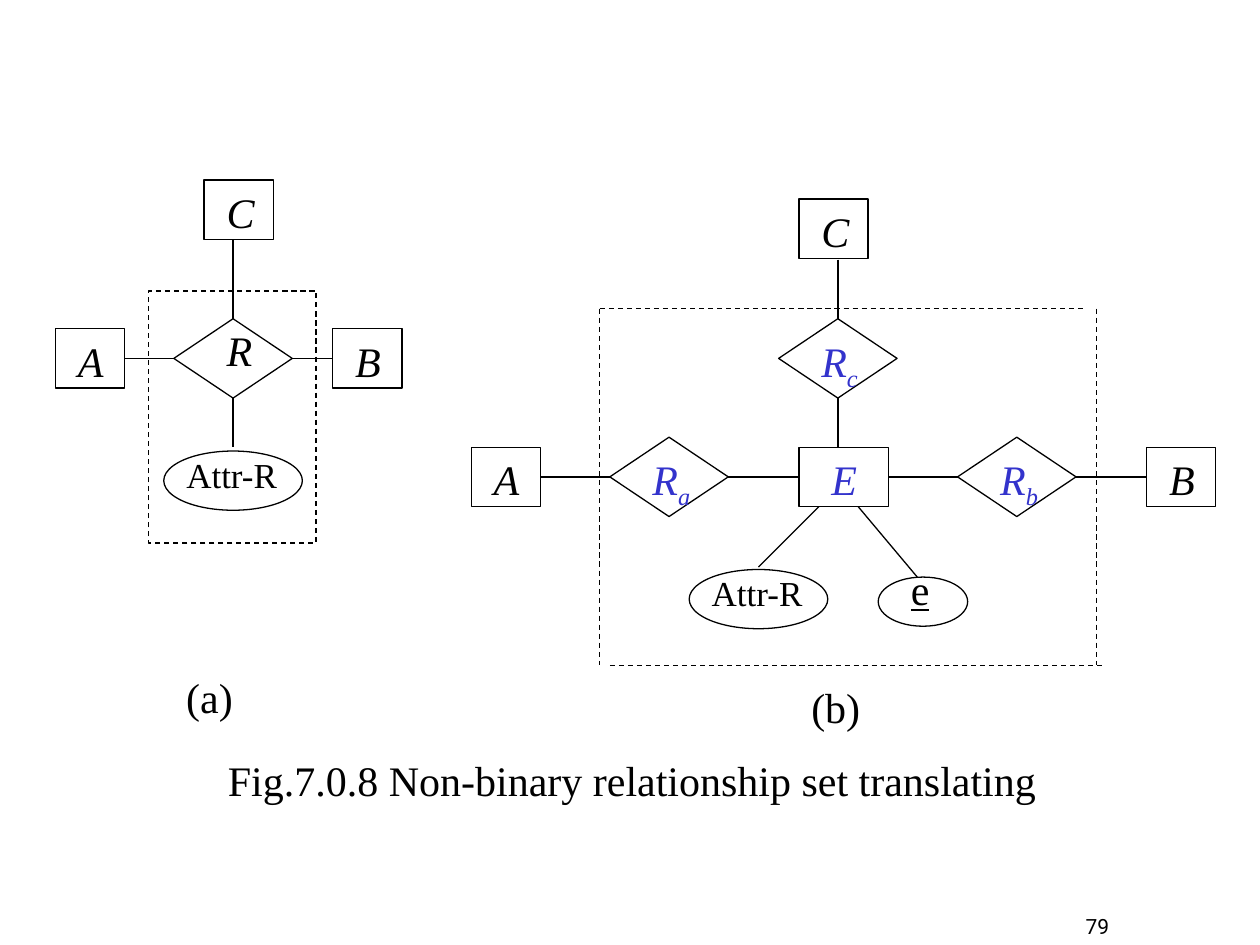
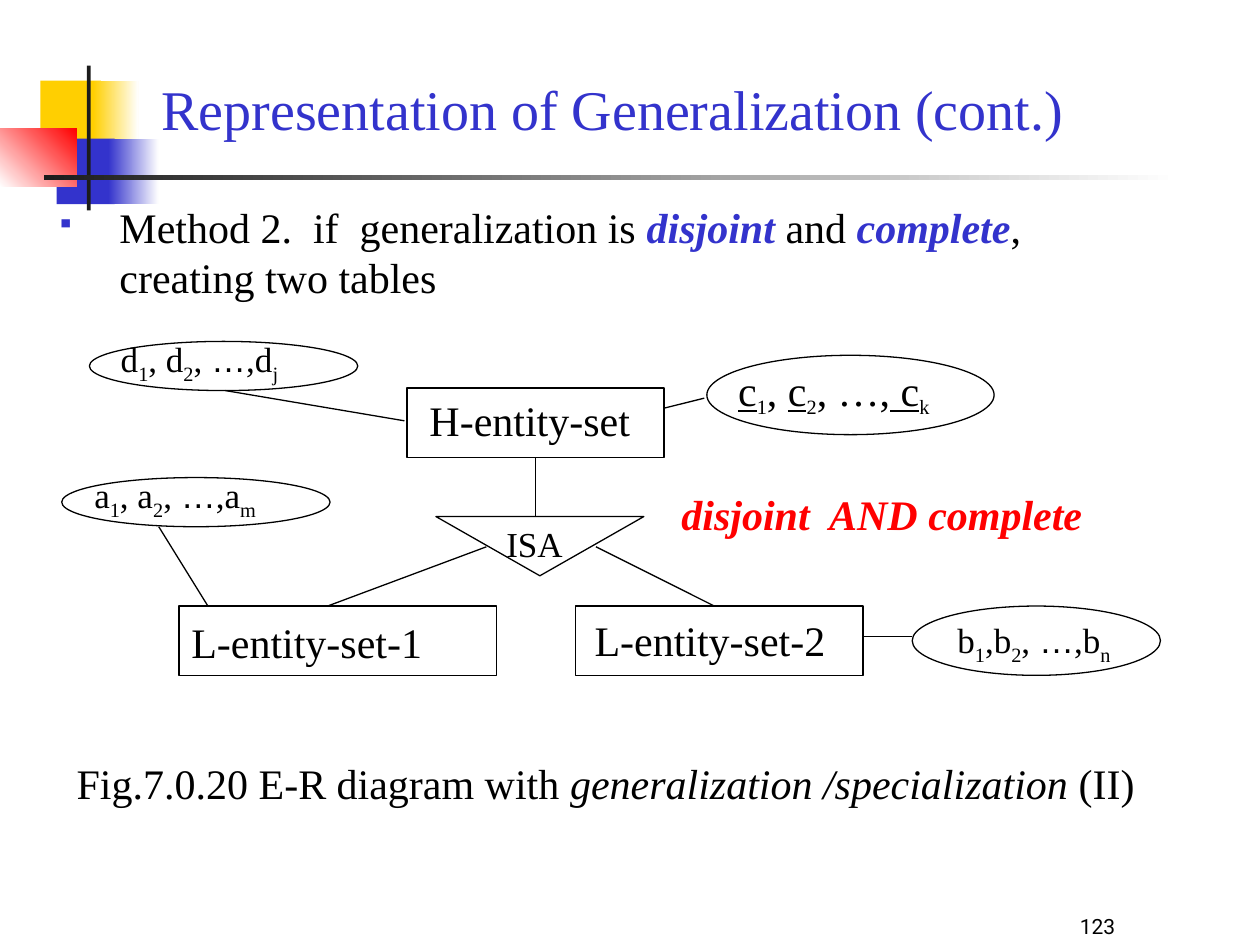
from lxml.etree import SubElement
from pptx import Presentation
from pptx.dml.color import RGBColor
from pptx.enum.dml import MSO_LINE
from pptx.enum.shapes import MSO_CONNECTOR, MSO_SHAPE as Form
from pptx.enum.text import MSO_ANCHOR, MSO_AUTO_SIZE, PP_ALIGN
from pptx.oxml.ns import qn
from pptx.util import Inches, Pt

HUES = {"ink": "000000", "blue": "3333CC", "red": "FF0000",
        "gold": "FFCF01", "dark": "1C1C1C", "white": "FFFFFF"}
SERIF, SANS, PAGE = "Times New Roman", "Arial", "Roboto"
TOP, LEFT, BASE, RIGHT = range(4)
SLACK = 0.06

FORMS = {"box": Form.RECTANGLE, "wide": Form.RECTANGLE, "role": Form.DIAMOND,
         "oval": Form.OVAL, "isa": Form.FLOWCHART_MERGE}
SIZES = {"box": (0.55, 0.47), "wide": (0.71, 0.47), "role": (0.94, 0.63),
         "oval": (1.1, 0.47)}


def entry(name, x, y):
    return name, "box", (x, y), (0.08, 0, 0.4), [(name[0], "i")]


def role(tail, x, y):
    return "R" + tail, "role", (x, y), (0.24, 0.08, 0.5), [("R", "iB"), (tail, "iBs")]


def attr(name, x, y):
    return name, "oval", (x, y), (0.08, -0.03, 0.92), [("Attr-R", "m")]


def series(name, last, sep=", "):
    return [(name, "m"), ("1", "ms"), (sep + name, "m"), ("2", "ms"),
            (", ", "m"), ("…", "ma"), ("," + name, "m"), (last, "ms")]


NODES_1 = [
    entry("A1", 0.44, 2.61), entry("B1", 2.64, 2.61), entry("C1", 1.62, 1.43),
    ("R", "role", (1.38, 2.53), (0.32, 0, 0.4), [("R", "i")]),
    attr("attr1", 1.3, 3.58),
    entry("A2", 3.74, 3.55), entry("B2", 9.1, 3.55), entry("C2", 6.34, 1.58),
    ("E", "wide", (6.34, 3.55), (0.16, 0, 0.4), [("E", "iB")]),
    role("a", 4.84, 3.47), role("b", 7.6, 3.47), role("c", 6.18, 2.53),
    attr("attr2", 5.47, 4.52),
    ("e", "oval", (6.97, 4.58, 0.71, 0.39), (0.16, -0.16, 0.36), [("e", "u")]),
]
LINKS_1 = [
    (("A1", RIGHT), ("R", LEFT)), (("R", RIGHT), ("B1", LEFT)),
    ((1.85, 1.9), ("R", TOP)), (("R", BASE), (1.85, 3.55)),
    (("A2", RIGHT), ("Ra", LEFT)), (("Ra", RIGHT), ("E", LEFT)),
    (("E", RIGHT), ("Rb", LEFT)), (("Rb", RIGHT), ("B2", LEFT)),
    ((6.65, 2.06), ("Rc", TOP)), (("Rc", BASE), (6.65, 3.55)),
    ((6.5, 4.02), (6.02, 4.5)), ((6.81, 4.02), (7.28, 4.58)),
]
FRAME = [((4.76, 2.45), (8.62, 2.45)), ((4.76, 2.45), (4.76, 5.28)),
         ((4.84, 5.28), (8.78, 5.28)), ((8.7, 2.45), (8.7, 5.28))]
NOTES_1 = [
    ((1.38, 5.28, 0.57), [("(a)", "")]),
    ((6.34, 5.36, 0.59), [("(b)", "")]),
    ((1.71, 5.94, 6.61), [("Fig.7.0.8 Non-binary relationship set translating", "")]),
]

TITLE = "Representation of Generalization (cont.)"
METHOD = [("Method 2.  if  generalization is ", ""), ("disjoint ", "biB"),
          ("and ", ""), ("complete", "biB"), (",  creating two tables", "")]
KEYS = [("c", "u"), ("1", "ms"), (", ", ""), ("c", "u"), ("2", "ms"),
        (", …,", ""), (" c", "u"), ("k", "ms")]
NODES_2 = [
    ("H", "box", (3.23, 3.08, 2.04, 0.55), (0.08, 0, 1.79), [("H-entity-set", "")]),
    ("L1", "box", (1.42, 4.81, 2.52, 0.55), (0, 0.03, 2.03), [("L-entity-set-1", "")]),
    ("L2", "box", (4.57, 4.81, 2.28, 0.55), (0.05, 0.02, 2.03), [("L-entity-set-2", "")]),
    ("isa", "isa", (3.46, 4.1, 1.65, 0.47), (0.46, 0, 0.65), [("ISA", "m")]),
    ("c", "oval", (5.61, 2.82, 2.28, 0.63), (0.15, 0.02, 1.72), KEYS),
    ("b", "oval", (7.24, 4.81, 1.97, 0.55), (0.26, 0.05, 1.41), series("b", "n", ",")),
    ("a", "oval", (0.49, 3.79, 2.13, 0.39), (0.16, -0.08, 1.48), series("a", "m")),
    ("d", "oval", (0.71, 2.71, 2.13, 0.39), (0.15, -0.08, 1.45), series("d", "j")),
]
LINKS_2 = [
    (("H", BASE), (4.25, 4.1)), ((3.86, 4.34), (2.6, 4.81)),
    ((4.73, 4.34), (5.67, 4.81)), ((5.27, 3.24), (5.59, 3.16)),
    ((6.85, 5.05), (7.24, 5.05)), ((1.26, 4.18), (1.65, 4.81)),
    ((1.79, 3.1), (3.21, 3.34)),
]
NOTES_2 = [
    ((5.31, 3.83, 3.39), [("disjoint  AND complete", "biR")]),
    ((0.51, 5.96, 8.68), [("Fig.7.0.20 E-R diagram with ", ""),
                          ("generalization /specialization", "i"), (" (II)", "")]),
]
DECOR = [
    ((0.32, 0.64, 0.48, 0.52), ["gold"], 0),
    ((0.74, 0.64, 0.36, 0.52), ["gold", "white"], 0),
    ((0.45, 1.1, 0.46, 0.52), ["blue"], 0),
    ((0.86, 1.1, 0.4, 0.52), ["blue", "white"], 0),
    ((0, 1.02, 0.61, 0.46), ["white", "red"], 45),
    ((0.69, 0.52, 0.03, 1.15), ["dark"], 0),
    ((0.35, 1.39, 9, 0.04), ["dark", "white"], 0),
]


def hue(name):
    return RGBColor.from_string(HUES[name])


def place(at):
    return [Inches(v) for v in at]


def style(run, marks, face=SERIF, size=24):
    font = run.font
    font.name = SANS if "a" in marks else face
    font.size = Pt(20 if "m" in marks else size)
    font.bold, font.italic = "b" in marks, "i" in marks
    font.underline = "u" in marks
    font.color.rgb = hue("blue" if "B" in marks else "red" if "R" in marks else "ink")
    if "s" in marks:
        run._r.get_or_add_rPr().set("baseline", "-25000")


def write(shapes, at, runs, wrap=False):
    frame = shapes.add_textbox(*place(at)).text_frame
    frame.word_wrap = wrap
    frame.auto_size = MSO_AUTO_SIZE.SHAPE_TO_FIT_TEXT
    para = frame.paragraphs[0]
    para.alignment = PP_ALIGN.LEFT
    for text, marks in runs:
        run = para.add_run()
        run.text = text
        style(run, marks)
    return para


def label(shapes, x, y, width, runs):
    high = 0.44 if "m" in runs[0][1] else 0.5
    write(shapes, (x, y, width + SLACK, high), runs)


def trace(line, dash=False):
    line.color.rgb = hue("ink")
    line.width = Pt(0.75)
    if dash:
        line.dash_style = MSO_LINE.DASH


def outline(shapes, kind, at, dash=False):
    shape = shapes.add_shape(FORMS[kind], *place(at))
    shape.shadow.inherit = False
    shape.fill.background()
    trace(shape.line, dash)
    return shape


def join(shapes, start, end, nodes, dash=False):
    ends = [(0, 0) if p[0] in nodes else p for p in (start, end)]
    link = shapes.add_connector(MSO_CONNECTOR.STRAIGHT, *place(ends[0] + ends[1]))
    for point, hook in ((start, link.begin_connect), (end, link.end_connect)):
        if point[0] in nodes:
            hook(nodes[point[0]], point[1])
    trace(link.line, dash)
    SubElement(link._element.spPr, qn("a:effectLst"))


def diagram(shapes, nodes, links):
    made = {}
    for name, kind, at, (dx, dy, width), runs in nodes:
        made[name] = outline(shapes, kind, at[:2] + (at[2:] or SIZES[kind]))
        label(shapes, at[0] + dx, at[1] + dy, width, runs)
    for start, end in links:
        join(shapes, start, end, made)


def notes(shapes, items):
    for at, runs in items:
        label(shapes, *at, runs)


def number(shapes, text):
    frame = shapes.add_textbox(*place((7.67, 7, 2.08, 0.5))).text_frame
    frame.word_wrap = True
    frame.vertical_anchor = MSO_ANCHOR.BOTTOM
    para = frame.paragraphs[0]
    para.text = text
    para.alignment = PP_ALIGN.CENTER
    style(para.runs[0], "", PAGE, 12)


def decorate(shapes):
    for at, hues, angle in DECOR:
        band = shapes.add_shape(Form.RECTANGLE, *place(at))
        band.shadow.inherit = False
        band.line.fill.background()
        if len(hues) == 1:
            band.fill.solid()
            band.fill.fore_color.rgb = hue(hues[0])
        else:
            band.fill.gradient()
            band.fill.gradient_angle = angle
            for stop, name in zip(band.fill.gradient_stops, hues):
                stop.color.rgb = hue(name)


def head(title, text):
    title.left, title.top, title.width, title.height = place((0.95, 0.54, 7.83, 0.64))
    frame = title.text_frame
    frame.text = text
    frame.word_wrap = True
    frame.auto_size = MSO_AUTO_SIZE.SHAPE_TO_FIT_TEXT
    frame.vertical_anchor = MSO_ANCHOR.TOP
    frame.paragraphs[0].alignment = PP_ALIGN.CENTER
    style(frame.paragraphs[0].runs[0], "B", size=32)


def bullet(para):
    props = para._p.get_or_add_pPr()
    props.set("marL", str(Inches(0.5)))
    props.set("indent", str(-Inches(0.5)))
    tint = SubElement(props, qn("a:buClr"))
    SubElement(tint, qn("a:srgbClr"), val=HUES["blue"])
    SubElement(props, qn("a:buSzPct"), val="60000")
    SubElement(props, qn("a:buChar"), char="▪")


def binary(deck):
    shapes = deck.slides.add_slide(deck.slide_layouts[6]).shapes
    diagram(shapes, NODES_1, LINKS_1)
    outline(shapes, "box", (1.18, 2.31, 1.33, 2), dash=True)
    for start, end in FRAME:
        join(shapes, start, end, {}, dash=True)
    notes(shapes, NOTES_1)
    number(shapes, "79")


def general(deck):
    shapes = deck.slides.add_slide(deck.slide_layouts[5]).shapes
    decorate(shapes)
    head(shapes.title, TITLE)
    bullet(write(shapes, (0.35, 1.55, 9.03, 0.9), METHOD, wrap=True))
    notes(shapes, NOTES_2)
    diagram(shapes.add_group_shape().shapes, NODES_2, LINKS_2)
    number(shapes, "123")


def main():
    deck = Presentation()
    deck.slide_width, deck.slide_height = Inches(10), Inches(7.5)
    binary(deck)
    general(deck)
    deck.save("out.pptx")


if __name__ == "__main__":
    main()
